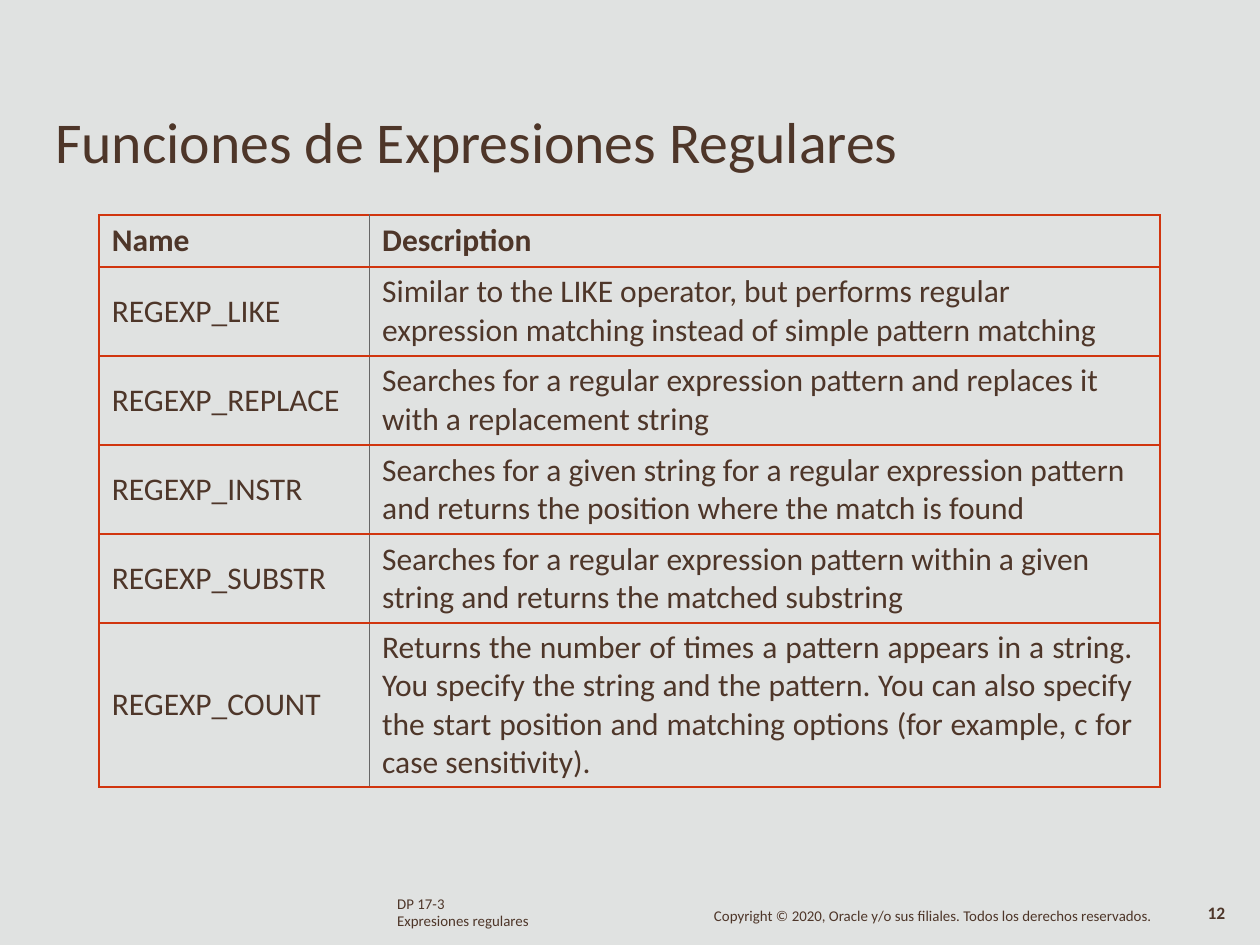
from lxml import etree
from pptx import Presentation
from pptx.dml.color import RGBColor
from pptx.enum.text import MSO_ANCHOR, PP_ALIGN
from pptx.oxml.ns import qn
from pptx.util import Pt

MIDDLE = MSO_ANCHOR.MIDDLE
LEFT, JUSTIFY = PP_ALIGN.LEFT, PP_ALIGN.JUSTIFY

FUNCTIONS = [
    ("REGEXP_LIKE", "Similar to the LIKE operator, but performs regular expression "
                    "matching instead of simple pattern matching"),
    ("REGEXP_REPLACE", "Searches for a regular expression pattern and replaces it "
                       "with a replacement string"),
    ("REGEXP_INSTR", "Searches for a given string for a regular expression pattern "
                     "and returns the position where the match is found"),
    ("REGEXP_SUBSTR", "Searches for a regular expression pattern within a given "
                      "string and returns the matched substring"),
    ("REGEXP_COUNT", "Returns the number of times a pattern appears in a string. "
                     "You specify the string and the pattern. You can also specify "
                     "the start position and matching options (for example, c for "
                     "case sensitivity)."),
]


def color(hex_code):
    return RGBColor.from_string(hex_code)


class SlideBuilder:
    font = "Calibri"
    ink = "4E3629"
    paper = "E0E2E1"
    rule = "D1350F"
    divider = "666666"

    def __init__(self, slide):
        self.slide = slide

    def background(self):
        fill = self.slide.background.fill
        fill.solid()
        fill.fore_color.rgb = color(self.paper)

    def style(self, paragraph, size, bold=False):
        font = paragraph.font
        font.name, font.size, font.bold = self.font, Pt(size), bold
        font.color.rgb = color(self.ink)

    def text(self, left, top, width, height, lines, size, spacings=None, bold=False):
        """Place one paragraph per line; spacings are exact line heights in points."""
        box = self.slide.shapes.add_textbox(Pt(left), Pt(top), Pt(width), Pt(height))
        frame = box.text_frame
        frame.word_wrap = True
        frame.margin_left = frame.margin_top = frame.margin_right = frame.margin_bottom = 0
        frame.text = "\n".join(lines)
        for index, paragraph in enumerate(frame.paragraphs):
            self.style(paragraph, size, bold)
            if spacings:
                paragraph.line_spacing = Pt(spacings[index])

    def border(self, cell, side, hex_code, width):
        line = etree.SubElement(cell._tc.get_or_add_tcPr(), qn(f"a:ln{side}"), w=str(Pt(width)))
        fill = etree.SubElement(line, qn("a:solidFill"))
        etree.SubElement(fill, qn("a:srgbClr"), val=hex_code)

    def cell(self, cell, text, bold, align, inner_side):
        cell.margin_left, cell.margin_right = Pt(7.2), Pt(15.5)
        cell.margin_top = cell.margin_bottom = 0
        cell.vertical_anchor = MIDDLE
        cell.text = text
        paragraph = cell.text_frame.paragraphs[0]
        paragraph.alignment = align
        self.style(paragraph, 18, bold)
        for side in "LRTB":
            if side == inner_side:
                self.border(cell, side, self.divider, 0.5)
            else:
                self.border(cell, side, self.rule, 1)
        cell.fill.background()

    def table(self, left, top, widths, heights, rows):
        frame = self.slide.shapes.add_table(len(rows), len(widths), Pt(left), Pt(top),
                                            Pt(sum(widths)), Pt(sum(heights)))
        table = frame.table
        table.horz_banding = False
        for column, width in zip(table.columns, widths):
            column.width = Pt(width)
        for r, (row, height) in enumerate(zip(rows, heights)):
            table.rows[r].height = Pt(height)
            last = r == len(rows) - 1
            for c, text in enumerate(row):
                align = JUSTIFY if last and c == 1 else LEFT
                self.cell(table.cell(r, c), text, r == 0, align, "RL"[c])


def main():
    deck = Presentation()
    deck.slide_width, deck.slide_height = Pt(720), Pt(540)
    page = SlideBuilder(deck.slides.add_slide(deck.slide_layouts[6]))
    page.background()
    page.text(31.5, 60.5, 484, 42, ["Funciones de Expresiones Regulares"], 33)
    page.table(56.7, 123, [154.5, 451.7], [29.5] + [50.9] * 4 + [93.8],
               [("Name", "Description")] + FUNCTIONS)
    page.text(227, 513, 78, 20, ["DP 17-3", "Expresiones regulares"], 8.5, [8.6, 9.7])
    page.text(690, 517, 15, 12, ["12"], 10, [10.4], bold=True)
    page.text(408, 519, 254, 11,
              ["Copyright © 2020, Oracle y/o sus filiales. Todos los derechos reservados."],
              8.5, [9.1])
    deck.save("out.pptx")


if __name__ == "__main__":
    main()
